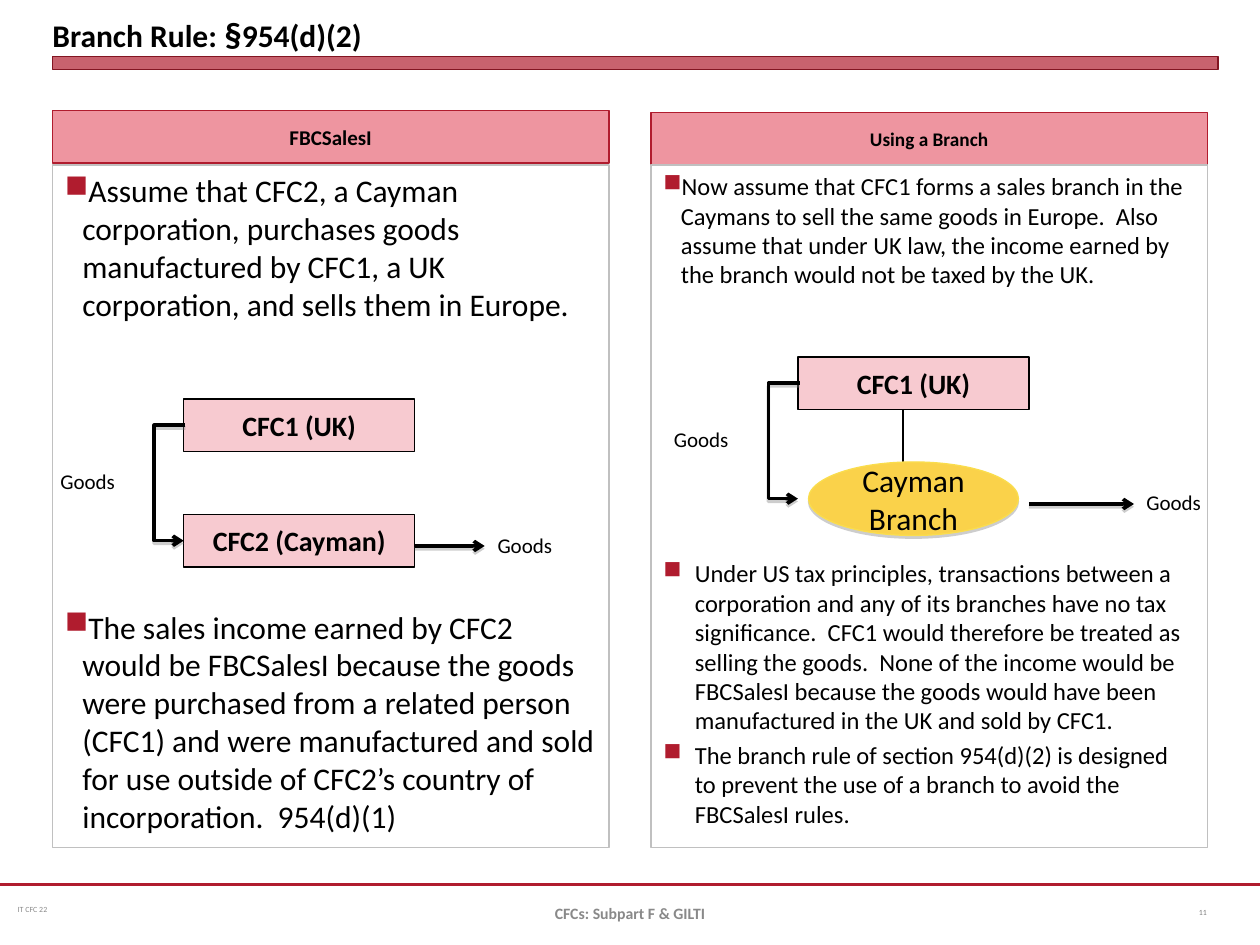
from lxml import etree
from pptx import Presentation
from pptx import util as u
from pptx.dml import color
from pptx.enum import shapes, text
from pptx.oxml import ns, parse_xml

COLORS = {
    "crimson": "B01C2E", "maroon": "821522", "rose": "EE95A0", "blush": "F7CAD0",
    "gold": "FAD24A", "gold_edge": "FADD4D", "white": "FFFFFF", "silver": "C0C0C0",
    "black": "000000", "gray": "898989", "page_gray": "808080",
}
FONT = "Calibri"
RECT, OVAL = shapes.MSO_SHAPE.RECTANGLE, shapes.MSO_SHAPE.OVAL
STRAIGHT, ELBOW = shapes.MSO_CONNECTOR.STRAIGHT, shapes.MSO_CONNECTOR.ELBOW
CENTER, LEFT = text.PP_ALIGN.CENTER, text.PP_ALIGN.LEFT
TOP, MIDDLE, BOTTOM = text.MSO_ANCHOR.TOP, text.MSO_ANCHOR.MIDDLE, text.MSO_ANCHOR.BOTTOM

TITLE = [("Branch Rule: ", 18), ("§", 20), ("954(d)(2)", 18)]
FOOTERS = [
    ("IT CFC 22", (5.8, 505.5, 186, 28.8), 4.5, "gray", False, LEFT, (4.3, 2.2)),
    ("11", (678, 507, 36, 28.8), 4.5, "page_gray", False, LEFT, (7.2, 3.6)),
    ("CFCs: Subpart F & GILTI", (246, 507.6, 228, 28.8), 9, "gray", True, CENTER, (7.2, 3.6)),
]
PANELS = [
    {"heading": "FBCSalesI", "heading_size": 12, "heading_top": 63.2, "left": 30, "size": 18,
     "points": [
         ("Assume that CFC2, a Cayman corporation, purchases goods manufactured by CFC1, "
          "a UK corporation, and sells them in Europe.", 10, 0),
         ("The sales income earned by CFC2 would be FBCSalesI because the goods were "
          "purchased from a related person (CFC1) and were manufactured and sold for use "
          "outside of CFC2’s country of incorporation.  954(d)(1)", 10, 163)]},
    {"heading": "Using a Branch", "heading_size": 11, "heading_top": 64.2, "left": 372, "size": 14,
     "points": [
         ("Now assume that CFC1 forms a sales branch in the Caymans to sell the same goods "
          "in Europe.  Also assume that under UK law, the income earned by the branch would "
          "not be taxed by the UK.", 10, 0),
         ("Under US tax principles, transactions between a corporation and any of its branches "
          "have no tax significance.  CFC1 would therefore be treated as selling the goods.  "
          "None of the income would be FBCSalesI because the goods would have been "
          "manufactured in the UK and sold by CFC1.", 18, 154),
         ("The branch rule of section 954(d)(2) is designed to prevent the use of a branch to "
          "avoid the FBCSalesI rules.", 18, 2.8)]},
]
PANEL_W, HEADING_H, BODY_TOP, BODY_H = 318, 30, 94.3, 390
ENTITY_W, ENTITY_H = 132, 30
ENTITIES = [("CFC1 (UK)", 105, 228), ("CFC2 (Cayman)", 105, 294), ("CFC1 (UK)", 456, 204)]
TRANSFERS = [(105, 243), (456, 219)]
TRANSFER_DROP, TRANSFER_REACH = 66, 18
SALES = [(237, 312, 277), (588, 288, 648)]
GOODS = [(27.4, 264), (277.2, 301), (378, 240), (648, 276)]

deck = Presentation()
deck.slide_width, deck.slide_height = u.Pt(720), u.Pt(540)
slide = deck.slides.add_slide(deck.slide_layouts[6])


def rgb(name):
    return color.RGBColor.from_string(COLORS[name])


def assign(target, **values):
    for name, value in values.items():
        setattr(target, name, value)


def add_effects(item, shadow):
    effects = etree.SubElement(item._element.spPr, ns.qn("a:effectLst"))
    if shadow:
        effects.append(parse_xml(
            f'<a:outerShdw {ns.nsdecls("a")} dist="20000" dir="5400000" rotWithShape="0">'
            '<a:srgbClr val="808080"><a:alpha val="38000"/></a:srgbClr></a:outerShdw>'))


def add_block(kind, box, fill, line, width=0.75, shadow=False):
    block = slide.shapes.add_shape(kind, *map(u.Pt, box))
    block.fill.solid()
    block.fill.fore_color.rgb = rgb(fill)
    block.line.color.rgb = rgb(line)
    block.line.width = u.Pt(width)
    if shadow:
        add_effects(block, True)
    else:
        block.shadow.inherit = False
    return block


def write(block, runs, ink="black", bold=False, align=CENTER, anchor=MIDDLE,
          inset=(7.2, 3.6), wrap=True):
    frame = block.text_frame
    x, y = map(u.Pt, inset)
    assign(frame, word_wrap=wrap, vertical_anchor=anchor, margin_left=x, margin_right=x,
           margin_top=y, margin_bottom=y)
    paragraph = frame.paragraphs[0]
    paragraph.alignment = align
    add_runs(paragraph, runs, ink, bold)


def add_runs(paragraph, runs, ink="black", bold=False):
    for words, size in runs:
        run = paragraph.add_run()
        run.text = words
        assign(run.font, name=FONT, size=u.Pt(size), bold=bold)
        run.font.color.rgb = rgb(ink)


def add_label(box, runs, **style):
    write(slide.shapes.add_textbox(*map(u.Pt, box)), runs, **style)


def add_points(body, points, size):
    frame = body.text_frame
    assign(frame, word_wrap=True, vertical_anchor=TOP)
    for number, (words, indent, before) in enumerate(points):
        point = frame.add_paragraph() if number else frame.paragraphs[0]
        assign(point, alignment=LEFT, space_before=u.Pt(before))
        props = point._p.get_or_add_pPr()
        props.set("marL", str(u.Pt(indent)))
        props.set("indent", str(-u.Pt(indent)))
        bullet_color = etree.SubElement(props, ns.qn("a:buClr"))
        etree.SubElement(bullet_color, ns.qn("a:srgbClr"), val=COLORS["crimson"])
        etree.SubElement(props, ns.qn("a:buChar"), char="■")
        add_runs(point, [(words, size)])


def add_link(start, end, kind=STRAIGHT, ink="black", width=2, arrow=True):
    link = slide.shapes.add_connector(kind, *map(u.Pt, (*start, *end)))
    link.line.color.rgb = rgb(ink)
    link.line.width = u.Pt(width)
    if arrow:
        etree.SubElement(link.line._get_or_add_ln(), ns.qn("a:tailEnd"), type="arrow")
    add_effects(link, arrow)
    return link


add_link((0, 505.5), (720, 505.5), ink="crimson", width=1.25, arrow=False)
title_bar = add_block(RECT, (30, 32.4, 666, 7.2), "crimson", "maroon", 0)
bar_color = title_bar._element.spPr.find(ns.qn("a:solidFill"))[0]
etree.SubElement(bar_color, ns.qn("a:alpha"), val="69000")
add_label((30, 0, 666, 31), TITLE, bold=True, align=LEFT, anchor=BOTTOM, inset=(0, 0))

for words, box, size, ink, bold, align, inset in FOOTERS:
    add_label(box, [(words, size)], ink=ink, bold=bold, align=align, inset=inset)

for panel in PANELS:
    heading = add_block(RECT, (panel["left"], panel["heading_top"], PANEL_W, HEADING_H),
                        "rose", "crimson")
    write(heading, [(panel["heading"], panel["heading_size"])], bold=True)
    body = add_block(RECT, (panel["left"], BODY_TOP, PANEL_W, BODY_H), "white", "silver")
    add_points(body, panel["points"], panel["size"])

for words, left, top in ENTITIES:
    entity = add_block(RECT, (left, top, ENTITY_W, ENTITY_H), "blush", "black")
    write(entity, [(words, 16)], bold=True, wrap=False)

add_link((516, 234), (516, 270), width=0.75, arrow=False)
for x, y in TRANSFERS:
    transfer = add_link((x + 1, y), (x, y + TRANSFER_DROP), ELBOW)
    guides = transfer._element.spPr.find(ns.qn("a:prstGeom")).find(ns.qn("a:avLst"))
    etree.SubElement(guides, ns.qn("a:gd"), name="adj1", fmla=f"val {TRANSFER_REACH * 100000}")
for left, y, right in SALES:
    add_link((left, y), (right, y))
for left, top in GOODS:
    add_label((left, top, 54, 21.6), [("Goods", 12)], align=LEFT, anchor=TOP)

branch = add_block(OVAL, (462, 264, 120, 42), "gold", "gold_edge", shadow=True)
write(branch, [("Cayman Branch", 18)])

deck.save("out.pptx")
